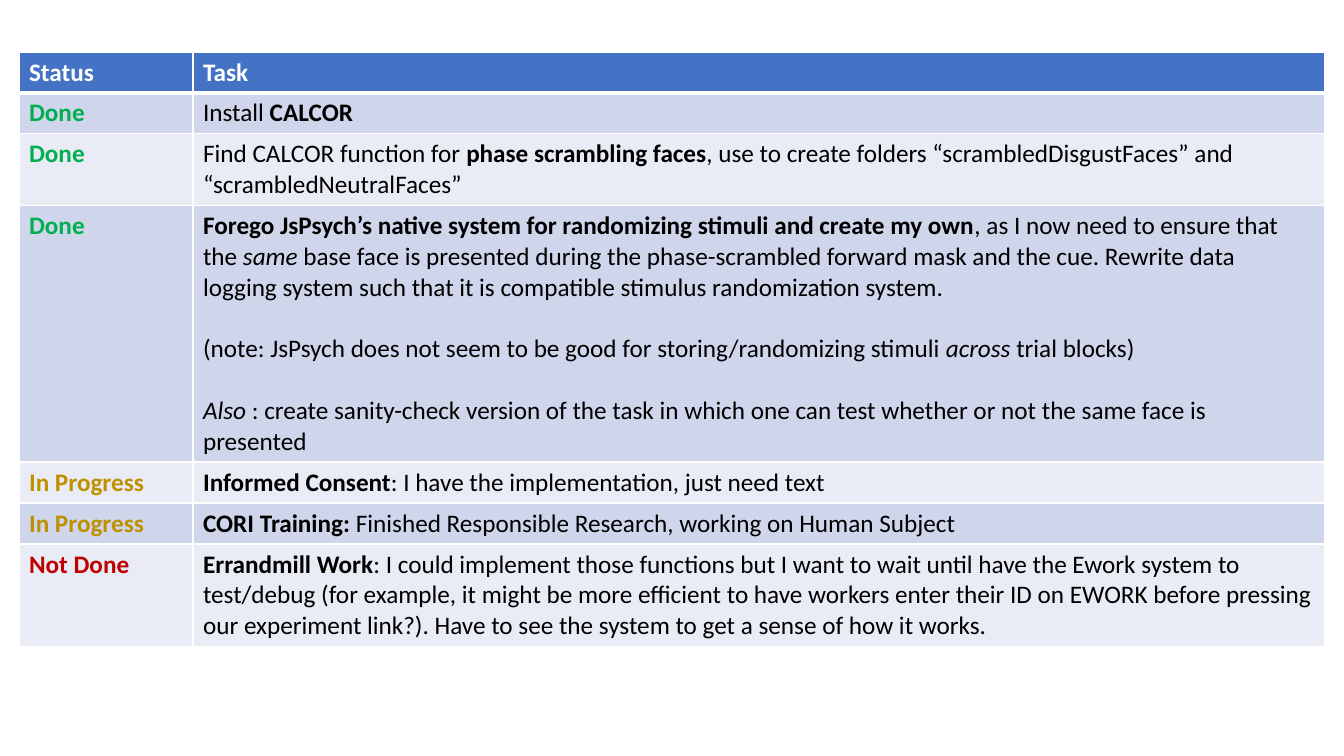
from dataclasses import dataclass
from typing import NamedTuple

from lxml import etree
from pptx import Presentation
from pptx import util as u
from pptx.dml.color import RGBColor
from pptx.oxml import ns

EMU_PER_PIXEL = 914400 / 100.8
FONT = "Calibri"
TEXT_SIZE = u.Pt(18)
NOTE_GAP = u.Pt(22)

WHITE = RGBColor(0xFF, 0xFF, 0xFF)
BLACK = RGBColor(0x00, 0x00, 0x00)
HEADER_BLUE = RGBColor(0x44, 0x72, 0xC4)
BAND_DARK = RGBColor(0xCF, 0xD5, 0xEA)
BAND_LIGHT = RGBColor(0xE9, 0xEB, 0xF5)
GREEN = RGBColor(0x00, 0xB0, 0x50)
GOLD = RGBColor(0xBF, 0x90, 0x00)
RED = RGBColor(0xC0, 0x00, 0x00)

STATUS_COLORS = {"Status": WHITE, "Done": GREEN, "In Progress": GOLD, "Not Done": RED}
COLUMN_WIDTHS = (174, 1132)


class Span(NamedTuple):
    """A stretch of text in one style."""
    text: str
    bold: bool = False
    italic: bool = False


@dataclass(frozen=True)
class Task:
    """One table row: status, pixel height and paragraphs of spans."""
    status: str
    height: int
    paragraphs: list[list[Span]]


TASKS = [
    Task("Status", 40, [[Span("Task", bold=True)]]),
    Task("Done", 41, [[Span("Install "), Span("CALCOR", bold=True)]]),
    Task("Done", 72, [[
        Span("Find CALCOR function for "),
        Span("phase scrambling faces", bold=True),
        Span(", use to create folders “scrambledDisgustFaces” and "
             "“scrambledNeutralFaces”"),
    ]]),
    Task("Done", 256, [
        [
            Span("Forego JsPsych’s native system for randomizing stimuli "
                 "and create my own", bold=True),
            Span(", as I now need to ensure that the "),
            Span("same ", italic=True),
            Span("base face is presented during the phase-scrambled forward mask "
                 "and the cue. Rewrite data logging system such that it is "
                 "compatible stimulus randomization system."),
        ],
        [
            Span("(note: JsPsych does not seem to be good for "
                 "storing/randomizing stimuli "),
            Span("across ", italic=True),
            Span("trial blocks)"),
        ],
        [
            Span("Also ", italic=True),
            Span(": create sanity-check version of the task in which one can test "
                 "whether or not the same face is presented"),
        ],
    ]),
    Task("In Progress", 41, [[
        Span("Informed Consent", bold=True),
        Span(": I have the implementation, just need text"),
    ]]),
    Task("In Progress", 41, [[
        Span("CORI Training: ", bold=True),
        Span("Finished Responsible Research, working on Human Subject"),
    ]]),
    Task("Not Done", 102, [[
        Span("Errandmill Work", bold=True),
        Span(": I could implement those functions but I want to wait until have the "
             "Ework system to test/debug (for example, it might be more efficient to "
             "have workers enter their ID on EWORK before pressing our experiment "
             "link?). Have to see the system to get a sense of how it works."),
    ]]),
]


def px(pixels: int) -> u.Emu:
    """Turn pixels into EMU."""
    return u.Emu(round(pixels * EMU_PER_PIXEL))


def add_borders(cell, top: int, bottom: int) -> None:
    """Give a filled cell white borders, with top and bottom widths in points."""
    properties = cell._tc.get_or_add_tcPr()
    widths = {"a:lnL": 1, "a:lnR": 1, "a:lnT": top, "a:lnB": bottom}
    for index, (tag, width) in enumerate(widths.items()):
        line = etree.Element(ns.qn(tag), w=str(u.Pt(width)))
        fill = etree.SubElement(line, ns.qn("a:solidFill"))
        etree.SubElement(fill, ns.qn("a:srgbClr"), val=str(WHITE))
        properties.insert(index, line)


def write_cell(cell, paragraphs: list[list[Span]], color: RGBColor) -> None:
    """Write paragraphs of styled spans into a cell."""
    frame = cell.text_frame
    for index, spans in enumerate(paragraphs):
        para = frame.add_paragraph() if index else frame.paragraphs[0]
        if index:
            para.space_before = NOTE_GAP
        for span in spans:
            run = para.add_run()
            run.text = span.text
            run.font.name = FONT
            run.font.size = TEXT_SIZE
            run.font.bold = span.bold
            run.font.italic = span.italic
            run.font.color.rgb = color


def add_task_table(page, tasks: list[Task], left: int, top: int) -> None:
    """Draw the status table with a header and banded rows."""
    height = sum(task.height for task in tasks)
    table = page.shapes.add_table(
        len(tasks), len(COLUMN_WIDTHS),
        px(left), px(top), px(sum(COLUMN_WIDTHS)), px(height)).table
    for column, width in zip(table.columns, COLUMN_WIDTHS):
        column.width = px(width)
    for index, task in enumerate(tasks):
        row = table.rows[index]
        row.height = px(task.height)
        band = BAND_DARK if index % 2 else BAND_LIGHT
        status_cell, task_cell = row.cells
        for cell in (status_cell, task_cell):
            cell.fill.solid()
            cell.fill.fore_color.rgb = band if index else HEADER_BLUE
            add_borders(cell, top=3 if index == 1 else 1, bottom=1 if index else 3)
        write_cell(status_cell, [[Span(task.status, bold=True)]],
                   STATUS_COLORS[task.status])
        write_cell(task_cell, task.paragraphs, BLACK if index else WHITE)


def main() -> None:
    """Build and save the deck."""
    deck = Presentation()
    deck.slide_width, deck.slide_height = px(1344), px(756)
    page = deck.slides.add_slide(deck.slide_layouts.get_by_name("Blank"))
    add_task_table(page, TASKS, left=19, top=52)
    deck.save("out.pptx")


main()
